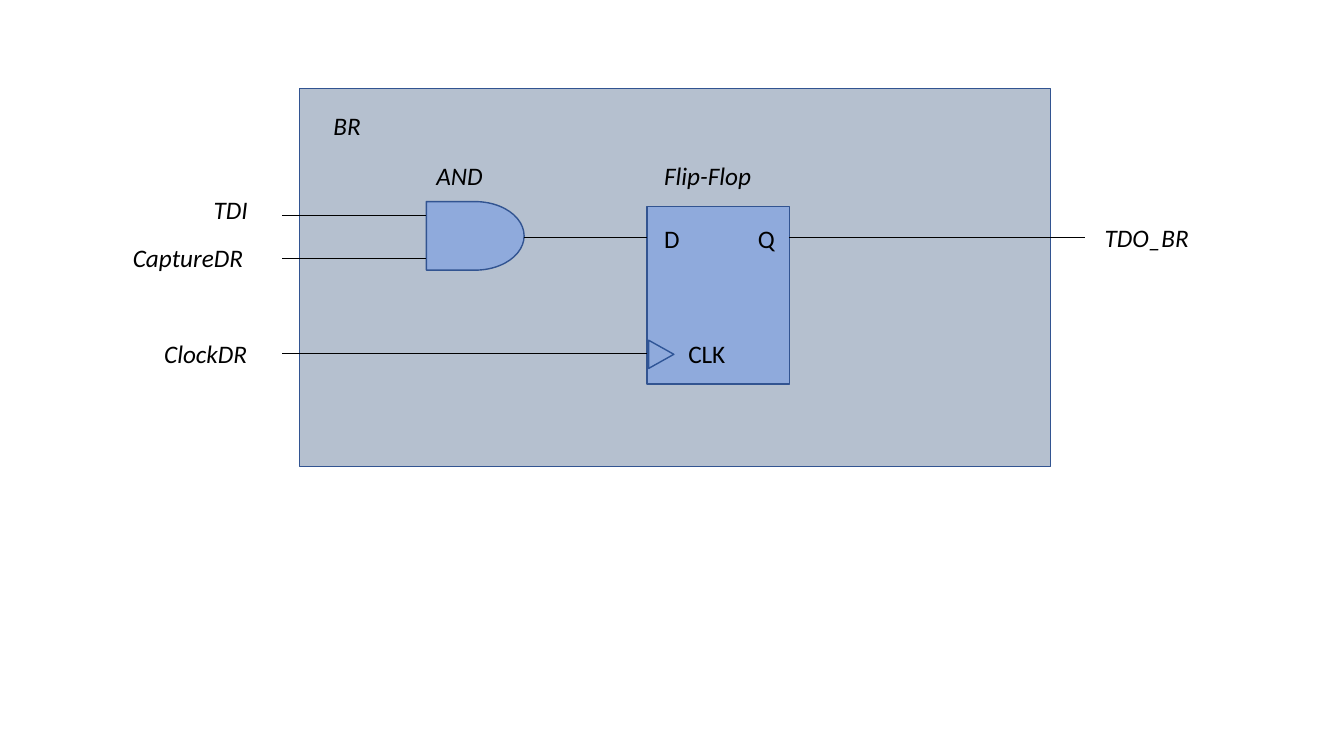
from collections import namedtuple

from lxml.etree import SubElement
from pptx import Presentation
from pptx.dml.color import RGBColor
from pptx.enum.shapes import MSO_CONNECTOR as Connector, MSO_SHAPE as Preset
from pptx.oxml.ns import qn
from pptx.util import Pt

Box = namedtuple("Box", "left top width height")

COLORS = {
    "panel": "8497B0",
    "block": "8FAADC",
    "outline": "325491",
    "clock": "2F5597",
    "ink": "000000",
}
LABEL_FONT = {"name": "Calibri", "size": Pt(18), "italic": True}
PIN_FONT = {**LABEL_FONT, "italic": False}
LABEL_HEIGHT = 28.8

PANEL = Box(213.84, 63.36, 536.4, 270)
GATE = Box(304.56, 144, 69.84, 48.96)
FLIP_FLOP = Box(462.24, 147.6, 101.52, 126.72)

WIRE_START, WIRE_END = 201.6, 774.72
TDI_Y, CAPTURE_Y, DATA_Y, CLOCK_Y = 154.08, 184.32, 169.2, 252.72


def color(name):
    """Return the named colour."""
    return RGBColor.from_string(COLORS[name])


def add_block(shapes, preset, box, fill=None, line="outline", alpha=None):
    """Add an outlined preset shape, with an optional fill and opacity in percent."""
    shape = shapes.add_shape(preset, *map(Pt, box))
    shape.shadow.inherit = False
    shape.line.color.rgb = color(line)
    shape.line.width = Pt(1)
    if fill is None:
        shape.fill.background()
        return shape
    shape.fill.solid()
    shape.fill.fore_color.rgb = color(fill)
    if alpha is not None:
        fill_color = shape._element.spPr.find(qn("a:solidFill"))[0]
        SubElement(fill_color, qn("a:alpha"), val=str(alpha * 1000))
    return shape


def add_label(shapes, text, left, top, width, font_format=LABEL_FONT):
    """Add one line of text."""
    text_box = shapes.add_textbox(*map(Pt, (left, top, width, LABEL_HEIGHT)))
    text_box.text_frame.word_wrap = True
    run = text_box.text_frame.paragraphs[0].add_run()
    run.text = text
    run.font.color.rgb = color("ink")
    for attribute, value in font_format.items():
        setattr(run.font, attribute, value)


def add_wire(shapes, start, end, height):
    """Add a horizontal wire at the given height."""
    wire = shapes.add_connector(
        Connector.STRAIGHT, Pt(start), Pt(height), Pt(end), Pt(height))
    wire.line.color.rgb = color("ink")
    wire.line.width = Pt(0.5)
    SubElement(wire._element.spPr, qn("a:effectLst"))


def draw_panel(shapes, box):
    """Draw the bypass register's background and name."""
    add_block(shapes, Preset.RECTANGLE, box, "panel", alpha=60)
    add_label(shapes, "BR", box.left + 17.28, box.top + 12.24, 56.88)


def draw_gate(shapes, box):
    """Draw the AND gate with its name above."""
    add_block(shapes, Preset.FLOWCHART_DELAY, box, "block")
    add_label(shapes, "AND", box.left, box.top - 33.12, box.width)


def draw_flip_flop(shapes, box):
    """Draw the flip-flop with its name, clock mark and pins."""
    add_block(shapes, Preset.RECTANGLE, box, "block")
    clock_box = Box(box.left, box.top + 96.48, 20.16, 18)
    clock = add_block(shapes, Preset.ISOSCELES_TRIANGLE, clock_box, line="clock")
    clock.rotation = 90
    add_label(shapes, "Flip-Flop", box.left + 5.04, box.top - 36.72, 94.32)
    pins = [("D", 5.04, 8.64, 18), ("Q", 72, 8.64, 18), ("CLK", 22.32, 90.72, 54.72)]
    for text, left, top, width in pins:
        add_label(shapes, text, box.left + left, box.top + top, width, PIN_FONT)


def draw_signals(shapes, gate, flip_flop):
    """Draw the wires between the parts and the names of the outer signals."""
    gate_right = gate.left + gate.width
    flip_flop_right = flip_flop.left + flip_flop.width
    wires = [
        (WIRE_START, gate.left, TDI_Y),
        (WIRE_START, gate.left, CAPTURE_Y),
        (WIRE_START, flip_flop.left, CLOCK_Y),
        (gate_right, flip_flop.left, DATA_Y),
        (flip_flop_right, WIRE_END, DATA_Y),
    ]
    for start, end, height in wires:
        add_wire(shapes, start, end, height)
    names = [
        ("TDI", 145.44, 135.36, 56.88),
        ("CaptureDR", 87.84, 169.2, 108),
        ("ClockDR", 110.16, 238.32, 85.68),
        ("TDO_BR", 781.92, 155.52, 90.72),
    ]
    for text, left, top, width in names:
        add_label(shapes, text, left, top, width)


presentation = Presentation()
presentation.slide_width = Pt(960)
presentation.slide_height = Pt(540)
slide = presentation.slides.add_slide(presentation.slide_layouts[6])
circuit = slide.shapes.add_group_shape().shapes
draw_panel(circuit, PANEL)
draw_gate(circuit, GATE)
draw_flip_flop(circuit, FLIP_FLOP)
draw_signals(circuit, GATE, FLIP_FLOP)
presentation.save("out.pptx")
